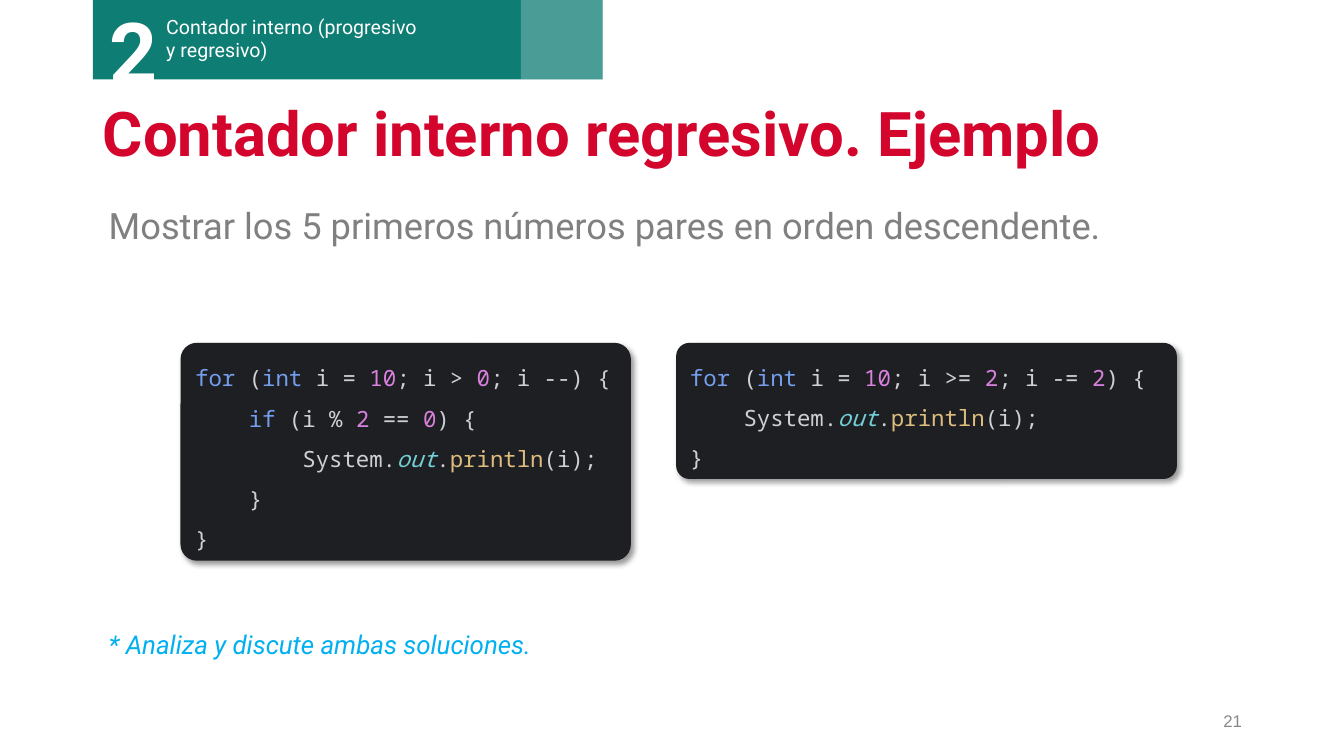
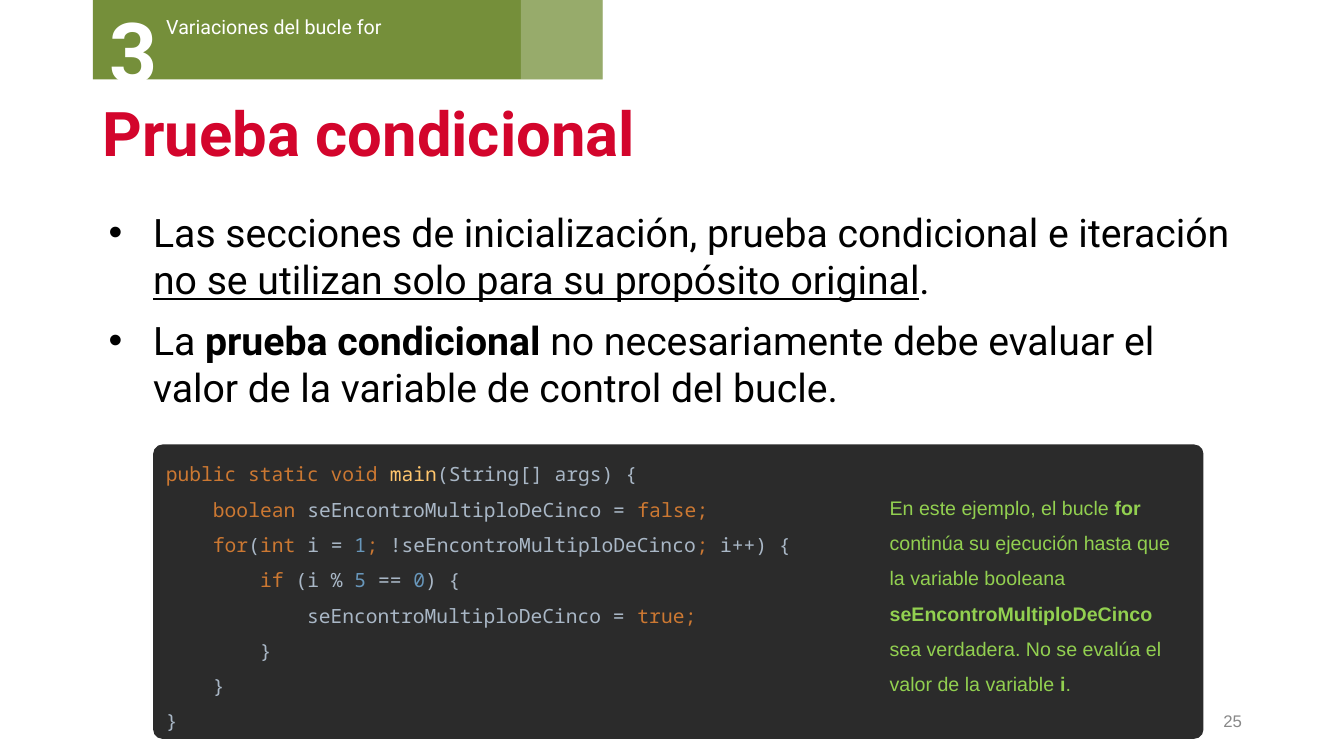
"""Build two lecture slides about variations of the Java for loop."""
from lxml.etree import SubElement
from pptx import Presentation
from pptx.dml.color import RGBColor
from pptx.enum.shapes import MSO_SHAPE as Shape
from pptx.enum.text import MSO_ANCHOR as Anchor, MSO_AUTO_SIZE as AutoSize, PP_ALIGN as Align
from pptx.oxml.ns import qn
from pptx.util import Cm, Pt

COLORS = {
    "white": "FFFFFF", "black": "000000", "title": "D3052C", "page": "888888",
    "teal": "0E7D73", "green": "758F3A", "lead": "808080", "note": "00B0F0", "aside": "92D050",
}
NEW_THEME = {
    "back": "1E1F22", "plain": "CED0D6", "keyword": "749DED", "number": "D981DE",
    "field": "72CFD6", "method": "DEBC7E",
}
OLD_THEME = {
    "back": "2B2B2B", "plain": "A9B7C6", "keyword": "CC7832", "number": "6897BB",
    "method": "FFC66D",
}
SANS, MONO, PLAIN = "Roboto", "Noto Sans Mono", "Arial"
LEFT, WIDTH = 2.34, 29.21
BAND_WIDTH, BAND_HEIGHT, BAND_TAIL = 12.85, 2, 2.06

P, K, N, F, M = "plain", "keyword", "number", "field", "method"
PRINT_CALL = [("System.", P), ("out", F), (".", P), ("println", M), ("(i);", P)]

FILTER_LOOP = [
    [("for ", K), ("(", P), ("int ", K), ("i = ", P), ("10", N), ("; i > ", P), ("0", N),
     ("; i --) {", P)],
    [("    ", P), ("if ", K), ("(i % ", P), ("2 ", N), ("== ", P), ("0", N), (") {", P)],
    [("        ", P), *PRINT_CALL],
    [("    }", P)],
    [("}", P)],
]
STEP_LOOP = [
    [("for ", K), ("(", P), ("int ", K), ("i = ", P), ("10", N), ("; i >= ", P), ("2", N),
     ("; i -= ", P), ("2", N), (") {", P)],
    [("    ", P), *PRINT_CALL],
    [("}", P)],
]
FLAG_LOOP = [
    [("public static void ", K), ("main", M), ("(String[] args) {", P)],
    [("    ", P), ("boolean ", K), ("seEncontroMultiploDeCinco = ", P), ("false;", K)],
    [("    for", K), ("(", P), ("int ", K), ("i = ", P), ("1", N), ("; ", K),
     ("!seEncontroMultiploDeCinco", P), ("; ", K), ("i++) {", P)],
    [("        ", P), ("if ", K), ("(i % ", P), ("5 ", N), ("== ", P), ("0", N), (") {", P)],
    [("            seEncontroMultiploDeCinco = ", P), ("true;", K)],
    [("        }", P)],
    [("    }", P)],
    [("}", P)],
]

BOLD, UNDERLINE, ITALIC = {"bold": True}, {"underline": True}, {"italic": True}
LEAD = [[("Mostrar los 5 primeros números pares en orden descendente.", {})]]
NOTE = [[("* Analiza y discute ambas soluciones.", ITALIC)]]
BULLETS = [
    [("Las secciones de inicialización, prueba condicional e iteración ", {}),
     ("no se utilizan solo para su propósito original", UNDERLINE), (".", {})],
    [("La ", {}), ("prueba condicional ", BOLD),
     ("no necesariamente debe evaluar el valor de la variable de control del bucle.", {})],
]
ASIDE = [
    [("En este ejemplo, el bucle ", {}), ("for", BOLD),
     (" continúa su ejecución hasta que la variable booleana ", {}),
     ("seEncontroMultiploDeCinco", BOLD),
     (" sea verdadera. No se evalúa el valor de la variable ", {}), ("i", BOLD), (".", {})],
]

SLIDES = [
    {
        "band": "teal", "section": "2", "topic": "Contador interno (progresivo y regresivo)",
        "title": "Contador interno regresivo. Ejemplo", "page": "21",
        "code": [
            {"box": (4.55, 8.64, 11.35, 5.49), "lines": FILTER_LOOP, "theme": NEW_THEME,
             "size": 16, "corner": 0.075, "shadow": True, "wrap": False},
            {"box": (17.04, 8.64, 12.62, 3.43), "lines": STEP_LOOP, "theme": NEW_THEME,
             "size": 16, "corner": 0.098, "shadow": True, "wrap": False},
        ],
        "texts": [
            {"box": (2.49, 5.13, 29.06, 1.5), "paragraphs": LEAD, "size": 25.9,
             "color": "lead", "spacing": 0.9},
            {"box": (2.49, 15.8, 29.06, 1.2), "paragraphs": NOTE, "size": 18.5,
             "color": "note", "spacing": 0.9},
        ],
    },
    {
        "band": "green", "section": "3", "topic": "Variaciones del bucle for",
        "title": "Prueba condicional", "page": "25",
        "code": [
            {"box": (3.86, 11.2, 26.47, 7.42), "lines": FLAG_LOOP, "theme": OLD_THEME,
             "size": 14, "corner": 0.032},
        ],
        "texts": [
            {"box": (LEFT, 5.13, WIDTH, 5.5), "paragraphs": BULLETS, "size": 28,
             "color": "black", "bullet": True},
            {"box": (22.17, 12.07, 7.75, 5.54), "paragraphs": ASIDE, "size": 14,
             "color": "aside", "font": PLAIN, "spacing": 1.5},
        ],
    },
]


def rgb(value):
    return RGBColor.from_string(value)


def add_run(paragraph, text, size, color, font=SANS, **style):
    run = paragraph.add_run()
    run.text = text
    run.font.name = font
    run.font.size = Pt(size)
    run.font.color.rgb = rgb(color)
    for name, value in style.items():
        setattr(run.font, name, value)


def add_bullet(paragraph):
    properties = paragraph._p.get_or_add_pPr()
    properties.set("marL", str(Cm(1.27)))
    properties.set("indent", str(Cm(-1.12)))
    color = SubElement(properties, qn("a:buClr"))
    SubElement(color, qn("a:srgbClr"), val=COLORS["black"])
    SubElement(properties, qn("a:buFont"), typeface=PLAIN)
    SubElement(properties, qn("a:buChar"), char="•")


def add_text(shapes, box, paragraphs, size, color, font=SANS, spacing=None, bullet=False,
             anchor=Anchor.TOP, align=Align.LEFT):
    frame = shapes.add_textbox(*map(Cm, box)).text_frame
    frame.word_wrap = True
    frame.vertical_anchor = anchor
    for index, runs in enumerate(paragraphs):
        paragraph = frame.add_paragraph() if index else frame.paragraphs[0]
        if bullet:
            add_bullet(paragraph)
        if index:
            paragraph.space_before = Pt(10)
        if spacing:
            paragraph.line_spacing = spacing
        paragraph.alignment = align
        for text, style in runs:
            add_run(paragraph, text, size, COLORS[color], font, **style)


def add_block(shapes, kind, box, color):
    shape = shapes.add_shape(kind, *map(Cm, box))
    shape.shadow.inherit = False
    shape.fill.solid()
    shape.fill.fore_color.rgb = rgb(color)
    shape.line.fill.background()
    return shape


def add_shadow(shape):
    effects = shape._element.spPr.find(qn("a:effectLst"))
    shadow = SubElement(effects, qn("a:outerShdw"), blurRad=str(Pt(4)), dist=str(Pt(3)),
                        dir="2700000", algn="tl", rotWithShape="0")
    color = SubElement(shadow, qn("a:srgbClr"), val=COLORS["black"])
    SubElement(color, qn("a:alpha"), val="40000")


def add_code(shapes, box, lines, theme, size, corner, shadow=False, wrap=True):
    shape = add_block(shapes, Shape.ROUNDED_RECTANGLE, box, theme["back"])
    shape.adjustments[0] = corner
    if shadow:
        add_shadow(shape)
    frame = shape.text_frame
    frame.word_wrap = wrap
    frame.auto_size = AutoSize.SHAPE_TO_FIT_TEXT
    frame.vertical_anchor = Anchor.MIDDLE
    for index, tokens in enumerate(lines):
        paragraph = frame.add_paragraph() if index else frame.paragraphs[0]
        paragraph.alignment = Align.LEFT
        paragraph.line_spacing = 1.5
        for text, role in tokens:
            add_run(paragraph, text, size, theme[role], MONO, italic=role == F)


def add_band(slide, color, section, topic):
    shapes = slide.shapes.add_group_shape().shapes
    add_block(shapes, Shape.RECTANGLE, (LEFT, 0, BAND_WIDTH, BAND_HEIGHT), COLORS[color])
    add_text(shapes, (3.94, 0.25, 6.98, 1.45), [[(topic, {})]], 14, "white")
    add_text(shapes, (2.51, -0.13, 2.84, 2.82), [[(section, BOLD)]], 60, "white")
    tail_left = LEFT + BAND_WIDTH - BAND_TAIL
    tail = add_block(shapes, Shape.RECTANGLE, (tail_left, 0, BAND_TAIL, BAND_HEIGHT),
                     COLORS["white"])
    tail_color = tail._element.spPr.find(qn("a:solidFill"))[0]
    SubElement(tail_color, qn("a:alpha"), val="25000")


def build_slide(presentation, content):
    slide = presentation.slides.add_slide(presentation.slide_layouts[6])
    add_band(slide, content["band"], content["section"], content["topic"])
    add_text(slide.shapes, (LEFT, 2.36, WIDTH, 2.18), [[(content["title"], BOLD)]], 44, "title",
             spacing=0.9, anchor=Anchor.MIDDLE)
    add_text(slide.shapes, (23.93, 17.65, 7.62, 1.02), [[(content["page"], {})]], 12, "page",
             font=PLAIN, anchor=Anchor.MIDDLE, align=Align.RIGHT)
    for code in content["code"]:
        add_code(slide.shapes, **code)
    for text in content["texts"]:
        add_text(slide.shapes, **text)


def main():
    presentation = Presentation()
    presentation.slide_width = Cm(33.87)
    presentation.slide_height = Cm(19.05)
    for content in SLIDES:
        build_slide(presentation, content)
    presentation.save("out.pptx")


if __name__ == "__main__":
    main()
